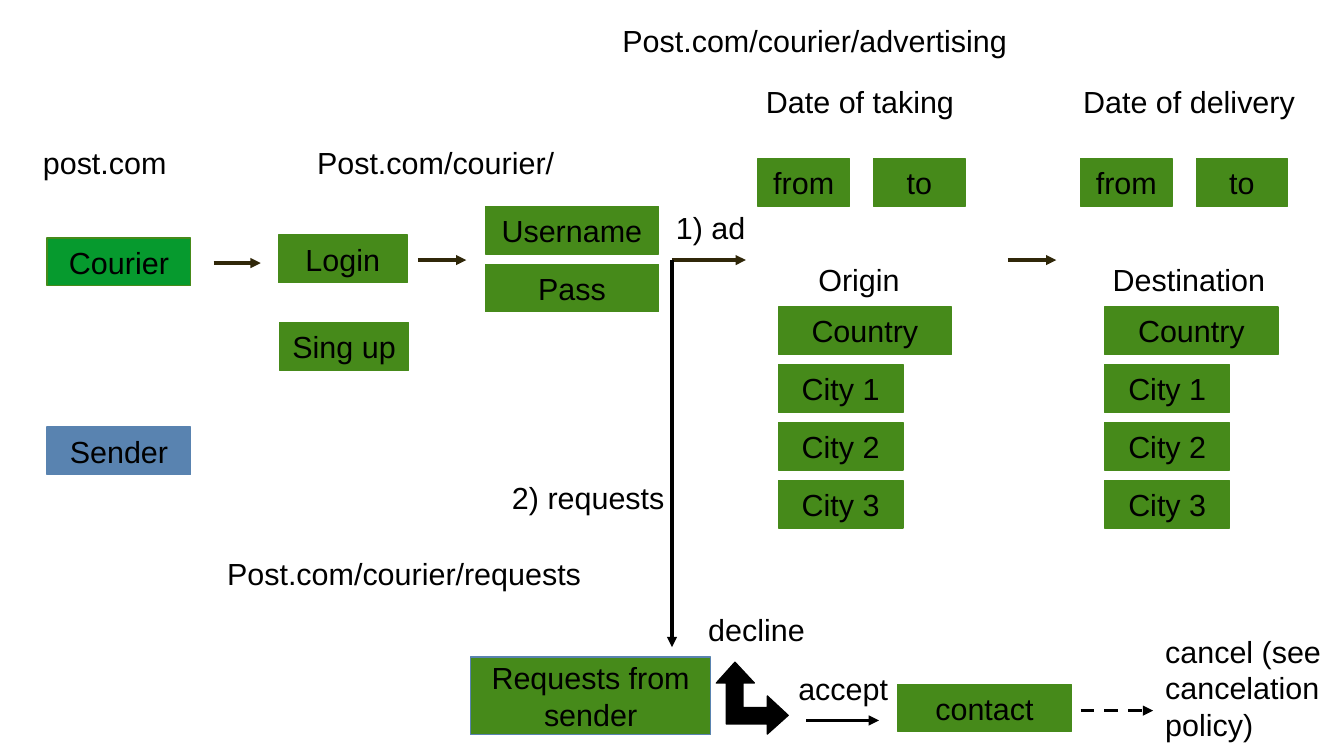
from dataclasses import dataclass

from lxml import etree
from pptx import Presentation
from pptx.dml.color import RGBColor
from pptx.enum.dml import MSO_LINE
from pptx.enum.shapes import MSO_CONNECTOR, MSO_SHAPE
from pptx.enum.text import MSO_ANCHOR, MSO_AUTO_SIZE, PP_ALIGN
from pptx.oxml.ns import qn
from pptx.util import Inches, Pt

RECT = MSO_SHAPE.RECTANGLE
STRAIGHT = MSO_CONNECTOR.STRAIGHT
DASH = MSO_LINE.DASH
LEFT, CENTER = PP_ALIGN.LEFT, PP_ALIGN.CENTER
TOP, MIDDLE = MSO_ANCHOR.TOP, MSO_ANCHOR.MIDDLE


@dataclass(frozen=True)
class Theme:
    font: str = "Arial"
    size: int = 18
    text: str = "000000"
    green: str = "468A1A"
    courier: str = "069A2E"
    blue: str = "5983B0"
    brown: str = "302709"
    black: str = "000000"
    hairline: int = 0


THEME = Theme()
WIDTH, HEIGHT = Inches(11.02), Inches(6.2)
COLS = ROWS = 100
BOX_H = 6.3
LABEL_H = 6
STACK_STEP = 7.65
FIELD_W = 12.9
CITY_W = 9.3
DATE_W = 6.8
DATE_STEP = 8.6
FLOW_ROW = 34.4


def col(n):
    return round(WIDTH * n / COLS)


def row(n):
    return round(HEIGHT * n / ROWS)


def area(x, y, w, h):
    return col(x), row(y), col(w), row(h)


def color(value):
    return RGBColor.from_string(value)


def write(tf, text, align=LEFT, anchor=TOP):
    tf.word_wrap = True
    tf.auto_size = MSO_AUTO_SIZE.NONE
    tf.vertical_anchor = anchor
    p = tf.paragraphs[0]
    p.alignment = align
    r = p.add_run()
    r.text = text
    r.font.name = THEME.font
    r.font.size = Pt(THEME.size)
    r.font.color.rgb = color(THEME.text)


def paint(sp, fill, line):
    sp.shadow.inherit = False
    sp.fill.solid()
    sp.fill.fore_color.rgb = color(fill)
    sp.line.color.rgb = color(line)
    sp.line.width = Pt(THEME.hairline)


def box(s, text, x, y, w, h=BOX_H, fill=THEME.green, line=THEME.green):
    sp = s.shapes.add_shape(RECT, *area(x, y, w, h))
    paint(sp, fill, line)
    write(sp.text_frame, text, align=CENTER, anchor=MIDDLE)


def label(s, text, x, y, w, h=LABEL_H):
    sp = s.shapes.add_textbox(*area(x, y, w, h))
    write(sp.text_frame, text)


def title(s, text, x, y, w, h=LABEL_H):
    sp = s.shapes.title
    sp.left, sp.top, sp.width, sp.height = area(x, y, w, h)
    write(sp.text_frame, text)


def arrow(s, x1, y1, x2, y2, line=THEME.black, dash=None):
    sp = s.shapes.add_connector(STRAIGHT, col(x1), row(y1), col(x2), row(y2))
    sp.line.color.rgb = color(line)
    sp.line.width = Pt(THEME.hairline)
    if dash:
        sp.line.dash_style = dash
    ln = sp.line._get_or_add_ln()
    etree.SubElement(ln, qn("a:tailEnd"), type="triangle")
    etree.SubElement(sp._element.spPr, qn("a:effectLst"))


def fork(s, x, bottom, size):
    right_arm = [(0.14, 0.14), (0.71, 0.14), (0.71, 0), (1, 0.26),
                 (0.71, 0.53), (0.71, 0.37), (0.37, 0.37)]
    up_arm = [(b, a) for a, b in reversed(right_arm[1:-1])]
    side = col(size)
    points = [(col(x) + round(a * side), row(bottom) - round(b * side))
              for a, b in right_arm + up_arm]
    builder = s.shapes.build_freeform(*points[0])
    builder.add_line_segments(points[1:], close=True)
    paint(builder.convert_to_shape(), THEME.black, THEME.black)


def stack(s, x, y, fields):
    for i, (text, w) in enumerate(fields):
        box(s, text, x, y + i * STACK_STEP, w)


def date_range(s, text, text_x, x):
    label(s, text, text_x, 10.2, 18)
    for i, end in enumerate(("from", "to")):
        box(s, end, x + i * DATE_STEP, 21, DATE_W)


def place(s, text, text_x, x):
    label(s, text, text_x, 33.7, 14)
    cities = [(f"City {n}", CITY_W) for n in range(1, 4)]
    stack(s, x, 40.6, [("Country", FIELD_W)] + cities)


def entry(s):
    label(s, "post.com", 2.3, 18.2, 17.2)
    box(s, "Courier", 3.5, 31.5, 10.7, fill=THEME.courier)
    box(s, "Sender", 3.5, 56.5, 10.7, fill=THEME.blue, line=THEME.blue)
    arrow(s, 15.9, 34.8, 19.4, 34.8, line=THEME.brown)


def sign_in(s):
    label(s, "Post.com/courier/", 22.7, 18.2, 22.7)
    box(s, "Login", 20.7, 31.1, 9.6)
    box(s, "Sing up", 20.8, 42.7, 9.6)
    arrow(s, 31.1, FLOW_ROW, 34.7, FLOW_ROW, line=THEME.brown)
    stack(s, 36.1, 27.3, [("Username", FIELD_W), ("Pass", FIELD_W)])


def advertising(s):
    title(s, "Post.com/courier/advertising", 45.4, 2.1, 34)
    label(s, "1) ad", 49.4, 26.9, 10.4)
    arrow(s, 50, FLOW_ROW, 55.5, FLOW_ROW, line=THEME.brown)
    date_range(s, "Date of taking", 56.1, 56.4)
    place(s, "Origin", 60, 57.9)
    arrow(s, 75, FLOW_ROW, 78.6, FLOW_ROW, line=THEME.brown)
    date_range(s, "Date of delivery", 79.7, 80.4)
    place(s, "Destination", 81.9, 82.2)


def requests(s):
    label(s, "Post.com/courier/requests", 16, 72.6, 34)
    label(s, "2) requests", 37.2, 62.6, 15)
    arrow(s, 50, FLOW_ROW, 50, 85.6)
    box(s, "Requests from sender", 35, 86.9, 17.9, h=10.3, line=THEME.blue)
    fork(s, 53.3, 97.1, 5.35)
    label(s, "decline", 51.8, 80, 11)
    label(s, "accept", 58.5, 87.9, 8.9)
    arrow(s, 60, 95.3, 65.4, 95.3)
    box(s, "contact", 66.8, 90.5, FIELD_W)
    arrow(s, 80.4, 94, 85.8, 94, dash=DASH)
    label(s, "cancel (see cancelation policy)", 85.8, 82.9, 14.2, h=17.1)


def main():
    prs = Presentation()
    prs.slide_width, prs.slide_height = WIDTH, HEIGHT
    s = prs.slides.add_slide(prs.slide_layouts[5])
    entry(s)
    sign_in(s)
    advertising(s)
    requests(s)
    prs.save("out.pptx")


if __name__ == "__main__":
    main()
